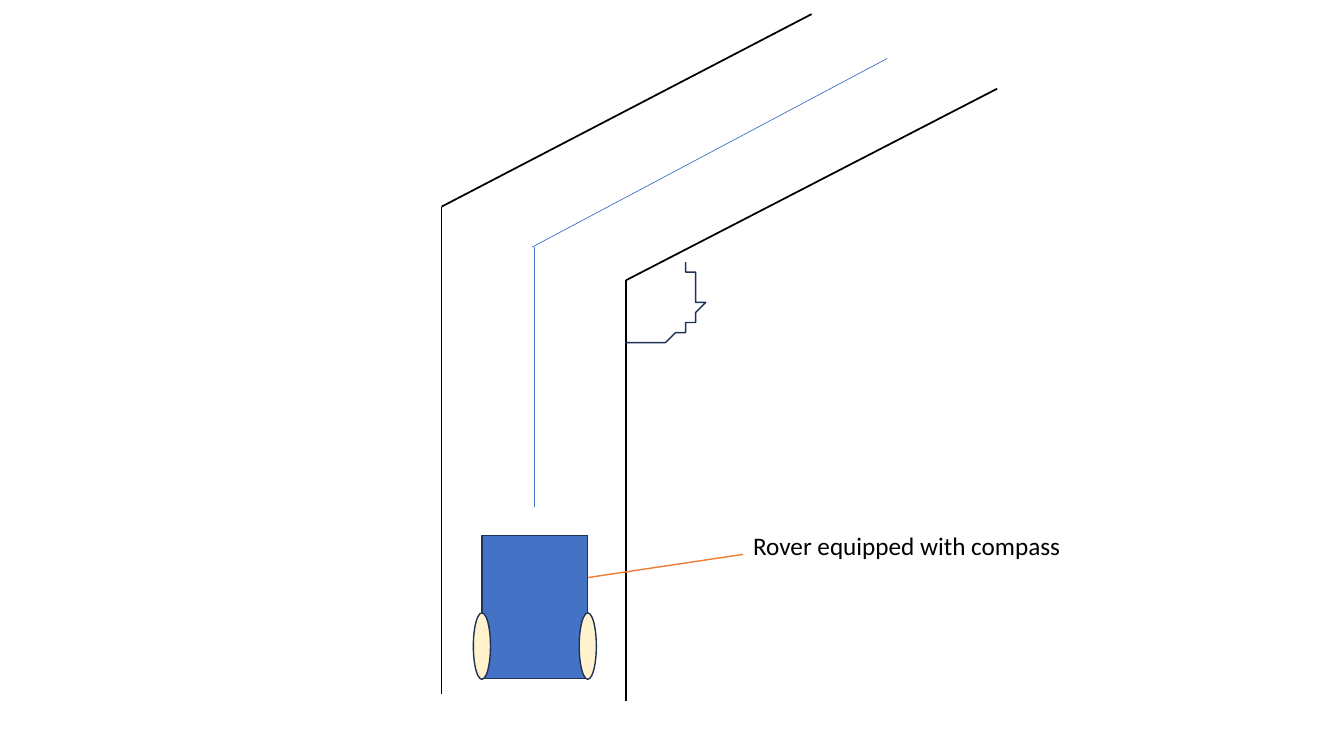
from dataclasses import dataclass

from lxml.etree import SubElement
from pptx import Presentation
from pptx.dml.color import RGBColor
from pptx.enum.shapes import MSO_CONNECTOR, MSO_SHAPE
from pptx.enum.text import MSO_AUTO_SIZE
from pptx.oxml.ns import qn
from pptx.util import Inches, Pt


@dataclass(frozen=True)
class Theme:
    font: str = "Calibri"
    label_size: float = 18
    text: str = "000000"
    wall: str = "000000"
    route: str = "4472C4"
    body: str = "4472C4"
    wheel: str = "FFF2CC"
    outline: str = "1E3256"
    pointer: str = "ED7D31"
    wall_width: float = 1.25
    route_width: float = 0.5
    outline_width: float = 1


class Diagram:
    CELL = 0.1

    def __init__(self, slide, theme):
        self.shapes = slide.shapes
        self.theme = theme

    def grid(self, *cells):
        return [Inches(cell * self.CELL) for cell in cells]

    def stroke(self, line, color, width):
        line.color.rgb = RGBColor.from_string(color)
        line.width = Pt(width)

    def solid(self, kind, column, row, columns, rows, color):
        shape = self.shapes.add_shape(kind, *self.grid(column, row, columns, rows))
        shape.shadow.inherit = False
        shape.fill.solid()
        shape.fill.fore_color.rgb = RGBColor.from_string(color)
        self.stroke(shape.line, self.theme.outline, self.theme.outline_width)

    def line(self, start, end, color, width):
        connector = self.shapes.add_connector(
            MSO_CONNECTOR.STRAIGHT, *self.grid(*start, *end)
        )
        self.stroke(connector.line, color, width)
        SubElement(connector._element.spPr, qn("a:effectLst"))

    def curve(self, start, segments, steps=16):
        points = []
        origin = start
        for first, second, end in segments:
            for step in range(1, steps + 1):
                t = step / steps
                weights = ((1 - t) ** 3, 3 * t * (1 - t) ** 2, 3 * t**2 * (1 - t), t**3)
                controls = (origin, first, second, end)
                points.append(tuple(
                    sum(weight * control[axis] for weight, control in zip(weights, controls))
                    for axis in (0, 1)
                ))
            origin = end
        builder = self.shapes.build_freeform(*start, scale=Inches(self.CELL))
        builder.add_line_segments(points, close=False)
        shape = builder.convert_to_shape()
        shape.shadow.inherit = False
        shape.fill.background()
        self.stroke(shape.line, self.theme.outline, self.theme.outline_width)

    def label(self, column, row, columns, rows, text):
        box = self.shapes.add_textbox(*self.grid(column, row, columns, rows))
        frame = box.text_frame
        frame.text = text
        frame.word_wrap = False
        frame.auto_size = MSO_AUTO_SIZE.SHAPE_TO_FIT_TEXT
        font = frame.paragraphs[0].runs[0].font
        font.name = self.theme.font
        font.size = Pt(self.theme.label_size)
        font.color.rgb = RGBColor.from_string(self.theme.text)


def main():
    presentation = Presentation()
    presentation.slide_width = Inches(13.33)
    presentation.slide_height = Inches(7.5)
    slide = presentation.slides.add_slide(presentation.slide_layouts[6])
    theme = Theme()
    diagram = Diagram(slide, theme)

    body_left, body_width, wheel_width = 47.8, 10.5, 1.7
    diagram.solid(MSO_SHAPE.RECTANGLE, body_left, 53.1, body_width, 14.2, theme.body)
    for side in (body_left, body_left + body_width):
        diagram.solid(
            MSO_SHAPE.OVAL, side - wheel_width / 2, 60.8, wheel_width, 6.6, theme.wheel
        )

    walls = (
        ((43.8, 20.5), (43.8, 68.9), (80.5, 1.4)),
        ((62.1, 27.8), (62.1, 69.5), (98.9, 8.8)),
    )
    for corner, bottom, far_end in walls:
        for end in (bottom, far_end):
            diagram.line(corner, end, theme.wall, theme.wall_width)

    diagram.line((53, 24.5), (53, 50.3), theme.route, theme.route_width)
    diagram.line((52.8, 24.5), (88, 5.8), theme.route, theme.route_width)

    diagram.curve((67.7, 25.5), (
        ((68.9, 27.8), (70.1, 30.1), (69.2, 31.6)),
        ((68.3, 33.1), (65.3, 33.8), (62.3, 34.5)),
    ))

    diagram.line((58.3, 57.3), (73.7, 55), theme.pointer, theme.outline_width)
    diagram.label(73.7, 52.1, 32.9, 4, "Rover equipped with compass")

    presentation.save("out.pptx")


if __name__ == "__main__":
    main()
